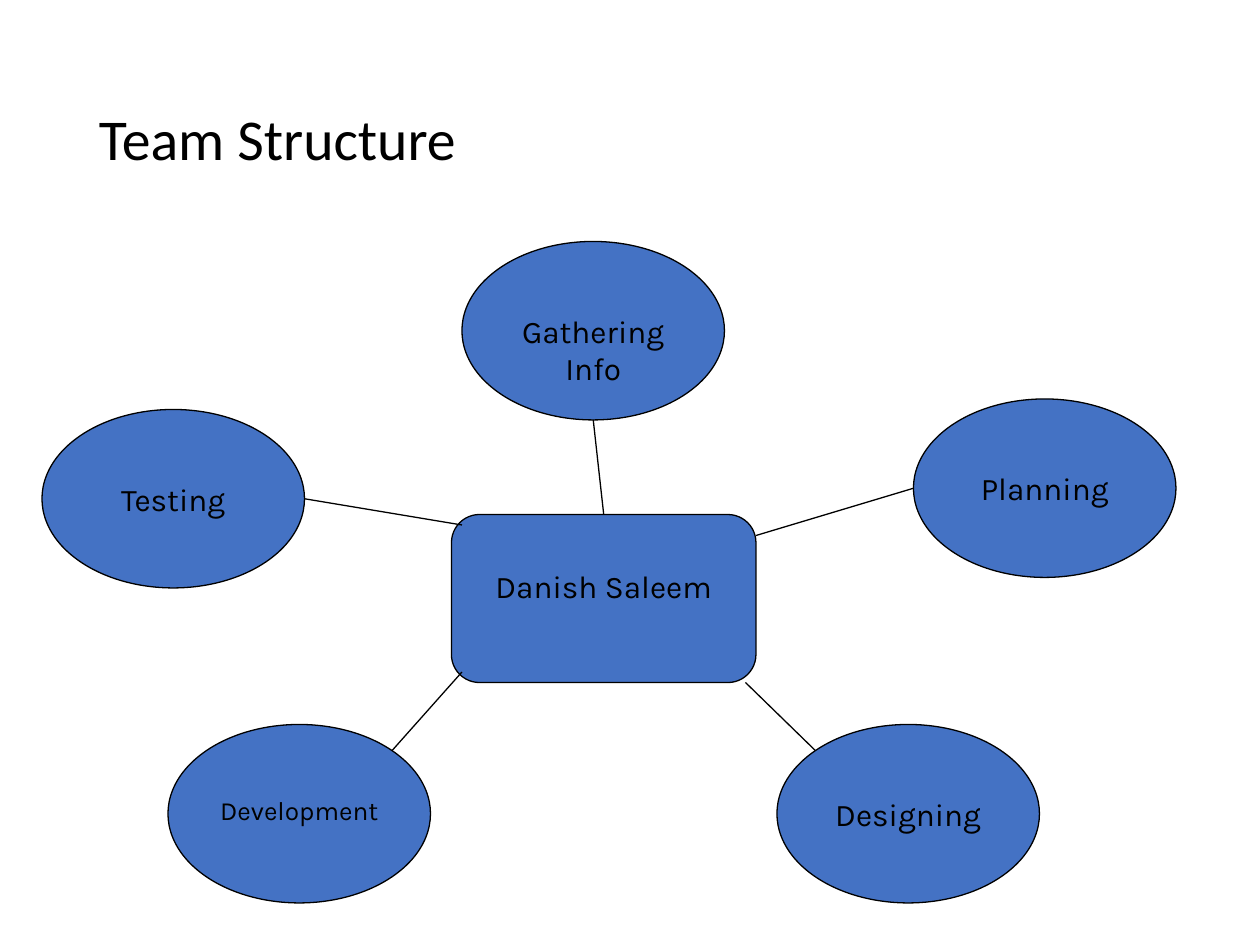
import math
from dataclasses import dataclass

import pptx
import pptx.dml.color
import pptx.enum.shapes
import pptx.enum.text
import pptx.oxml.ns
import pptx.util
from lxml import etree

Pt = pptx.util.Pt
SHAPES = pptx.enum.shapes.MSO_SHAPE
ALIGN = pptx.enum.text.PP_ALIGN
ANCHOR = pptx.enum.text.MSO_ANCHOR

COLOURS = {"fill": "4472C4", "ink": "000000"}
ROLE_WIDTH, ROLE_HEIGHT = 150, 102
TOP_INSET = 25.2  # normal inset plus one line of text


@dataclass
class Role:
    name: str
    left: float
    top: float
    angle: float  # where the link leaves the ellipse, clockwise from the right
    hub_point: tuple[float, float]
    size: float = 18


ROLES = [
    Role("Testing", 24, 234, 0, (264, 300)),
    Role("Designing", 444, 414, 225, (426, 390)),
    Role("Development", 96, 414, 315, (264, 384), size=15),
    Role("Planning", 522, 228, 180, (432, 306)),
    Role("Gathering Info", 264, 138, 90, (345, 294)),
]


def colour(name: str) -> pptx.dml.color.RGBColor:
    return pptx.dml.color.RGBColor.from_string(COLOURS[name])


def write_text(shape, text: str, *, font: str = "Karla", size: float = 18,
               align=ALIGN.CENTER, anchor=ANCHOR.TOP, top: float = TOP_INSET,
               bottom: float = 0, spacing: float = 1.0) -> None:
    frame = shape.text_frame
    frame.word_wrap = True
    frame.vertical_anchor = anchor
    frame.margin_left = frame.margin_right = Pt(7.2)
    frame.margin_top, frame.margin_bottom = Pt(top), Pt(bottom)
    para = frame.paragraphs[0]
    para.alignment = align
    para.line_spacing = spacing
    span = para.add_run()
    span.text = text
    span.font.name = font
    span.font.size = Pt(size)
    span.font.color.rgb = colour("ink")


def add_node(page, kind, left: float, top: float, width: float, height: float):
    node = page.shapes.add_shape(kind, Pt(left), Pt(top), Pt(width), Pt(height))
    node.shadow.inherit = False
    node.fill.solid()
    node.fill.fore_color.rgb = colour("fill")
    node.line.color.rgb = colour("ink")
    node.line.width = Pt(0.75)
    return node


def add_link(page, role: Role) -> None:
    angle = math.radians(role.angle)
    end_x = role.left + ROLE_WIDTH / 2 * (1 + math.cos(angle))
    end_y = role.top + ROLE_HEIGHT / 2 * (1 + math.sin(angle))
    start_x, start_y = role.hub_point
    link = page.shapes.add_connector(
        pptx.enum.shapes.MSO_CONNECTOR.STRAIGHT,
        Pt(start_x), Pt(start_y), Pt(end_x), Pt(end_y))
    link.line.color.rgb = colour("ink")
    link.line.width = Pt(0.75)
    etree.SubElement(link._element.spPr, pptx.oxml.ns.qn("a:effectLst"))


def main() -> None:
    deck = pptx.Presentation()
    deck.slide_width, deck.slide_height = Pt(720), Pt(540)
    page = deck.slides.add_slide(deck.slide_layouts[6])

    # Title
    title = page.shapes.add_textbox(Pt(49.5), Pt(28.8), Pt(621), Pt(104.4))
    write_text(title, "Team Structure", font="Calibri", size=33, align=ALIGN.LEFT,
               anchor=ANCHOR.MIDDLE, top=3.6, bottom=3.6, spacing=0.9)

    # Team leader in the middle
    hub = add_node(page, SHAPES.ROUNDED_RECTANGLE, 258, 294, 174, 96)
    write_text(hub, "Danish Saleem")

    # Roles around the leader
    for role in ROLES:
        node = add_node(page, SHAPES.OVAL, role.left, role.top, ROLE_WIDTH, ROLE_HEIGHT)
        write_text(node, role.name, size=role.size)

    # Links from the leader to each role
    for role in ROLES:
        add_link(page, role)

    deck.save("out.pptx")


if __name__ == "__main__":
    main()
